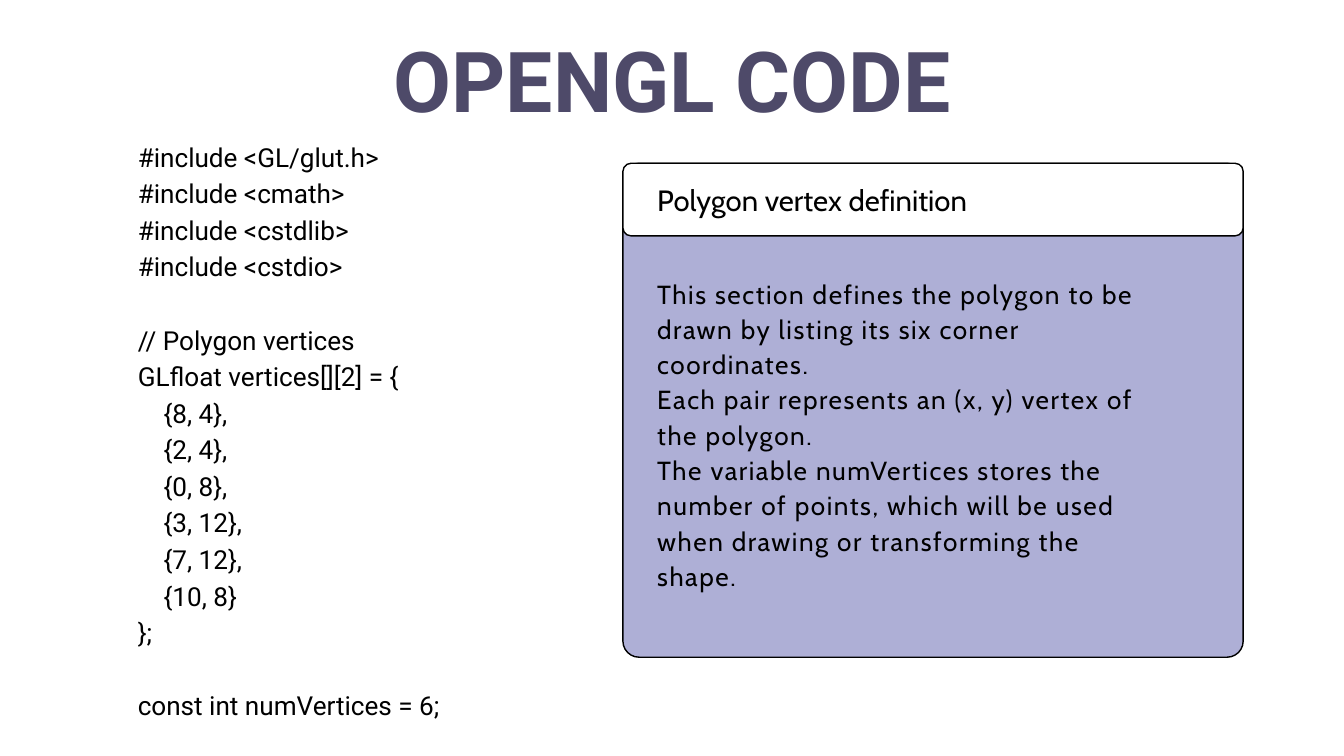
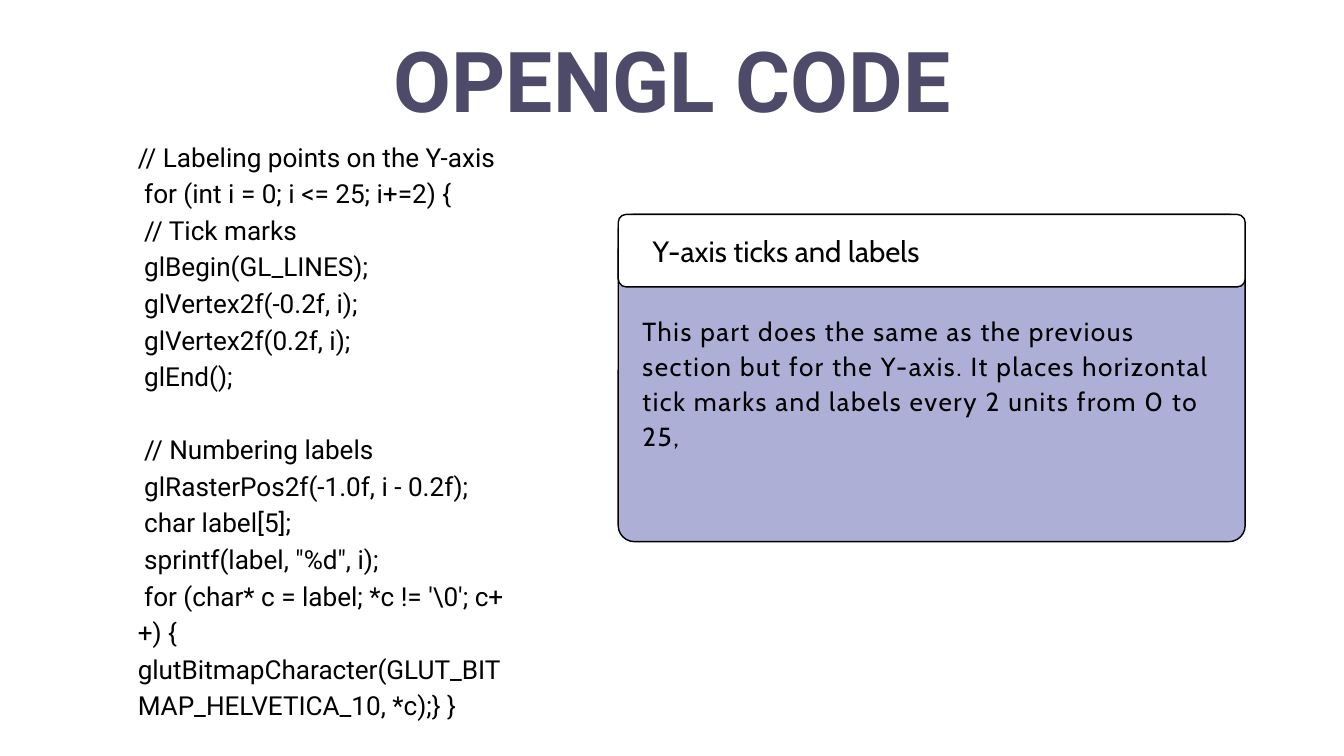
"""Build two slides that pair OpenGL code with an explanation card."""
from pptx import Presentation
from pptx.dml.color import RGBColor
from pptx.enum.shapes import MSO_SHAPE
from pptx.enum.text import MSO_ANCHOR, MSO_AUTO_SIZE, PP_ALIGN
from pptx.util import Inches, Pt
from lxml.etree import SubElement
from pptx.oxml.ns import qn

BLACK = RGBColor(0x00, 0x00, 0x00)
WHITE = RGBColor(0xFF, 0xFF, 0xFF)
LILAC = RGBColor(0xAE, 0xAF, 0xD6)
PLUM = RGBColor(0x4E, 0x4A, 0x69)
CELL = Inches(0.1)
COLS, ROWS = 200, 112.5
HEAD_ROWS = 10.8
SPACE = Pt(6.93)

SLIDES = [
    dict(
        code=["#include <GL/glut.h>", "#include <cmath>", "#include <cstdlib>",
              "#include <cstdio>", "", "// Polygon vertices",
              "GLfloat vertices[][2] = {", "    {8, 4},", "    {2, 4},",
              "    {0, 8},", "    {3, 12},", "    {7, 12},", "    {10, 8}",
              "};", "", "const int numVertices = 6;"],
        card=(92.7, 24.3, 92.3, 73.5),
        head="Polygon vertex definition",
        note_at=(97.8, 40.8, 75.6, 46.6),
        note=["This section defines the polygon to be drawn by listing its six "
              "corner coordinates.",
              "Each pair represents an (x, y) vertex of the polygon.",
              "The variable numVertices stores the number of points, which will "
              "be used when drawing or transforming the shape."]),
    dict(
        code=["// Labeling points on the Y-axis",
              " for (int i = 0; i <= 25; i+=2) {", " // Tick marks",
              " glBegin(GL_LINES);", " glVertex2f(-0.2f, i);",
              " glVertex2f(0.2f, i);", " glEnd();", "", " // Numbering labels",
              " glRasterPos2f(-1.0f, i - 0.2f);", " char label[5];",
              ' sprintf(label, "%d", i);',
              r" for (char* c = label; *c != '\0'; c++) {",
              "glutBitmapCharacter(GLUT_BITMAP_HELVETICA_10, *c);} }"],
        card=(92, 31.9, 93.3, 48.7),
        head="Y-axis ticks and labels",
        note_at=(95.6, 46.3, 84.5, 20.6),
        note=["This part does the same as the previous section but for the "
              "Y-axis. It places horizontal tick marks and labels every 2 units "
              "from 0 to 25,"]),
]


def grid(*cells):
    return [int(n * CELL) for n in cells]


def write(sp, at, lines, font, size, leading, color=BLACK, bold=False,
          align=PP_ALIGN.LEFT, spc=0):
    sp.left, sp.top, sp.width, sp.height = grid(*at)
    tf = sp.text_frame
    tf.word_wrap = True
    tf.auto_size = MSO_AUTO_SIZE.NONE
    tf.vertical_anchor = MSO_ANCHOR.TOP
    tf.margin_left = tf.margin_top = tf.margin_right = tf.margin_bottom = 0
    p, gap = None, 0
    for line in lines:
        if not line:
            gap += leading
            continue
        p = tf.add_paragraph() if p else tf.paragraphs[0]
        p.alignment = align
        p.line_spacing = Pt(leading)
        p.space_before, p.space_after = Pt(gap), Pt(0)
        gap = 0
        text = line.lstrip()
        pPr = p._p.get_or_add_pPr()
        pPr.set("marL", "0")
        pPr.set("indent", str(int((len(line) - len(text)) * SPACE)))
        SubElement(pPr, qn("a:buNone"))
        r = p.add_run()
        r.text = text
        r.font.name, r.font.size, r.font.bold = font, Pt(size), bold
        r.font.color.rgb = color
        if spc:
            r._r.get_or_add_rPr().set("spc", str(spc))


prs = Presentation()
prs.slide_width, prs.slide_height = grid(COLS, ROWS)

for item in SLIDES:
    s = prs.slides.add_slide(prs.slide_layouts[1])
    title, body = s.placeholders
    write(title, (48.5, 1.7, 103.1, 17.1), ["OPENGL CODE"], "Roboto", 90, 126,
          PLUM, True, PP_ALIGN.CENTER)
    write(body, (20.5, 20.2, 55.9, 92), item["code"], "Roboto", 28, 39.2)

    left, top, width, height = item["card"]
    for rows, fill, radius in ((height, LILAC, 2.4), (HEAD_ROWS, WHITE, 1.2)):
        sp = s.shapes.add_shape(MSO_SHAPE.ROUNDED_RECTANGLE,
                                *grid(left, top, width, rows))
        sp.adjustments[0] = radius / rows
        sp.shadow.inherit = False
        sp.fill.solid()
        sp.fill.fore_color.rgb = fill
        sp.line.color.rgb = BLACK
        sp.line.width = Pt(1.5)

    write(s.shapes.add_textbox(0, 0, 0, 0), (left + 5.1, top + 3, 83.1, 5.1),
          [item["head"]], "Cabin", 31.4, 36.7)
    write(s.shapes.add_textbox(0, 0, 0, 0), item["note_at"], item["note"],
          "Cabin", 28, 37.8, spc=170)

prs.save("out.pptx")
